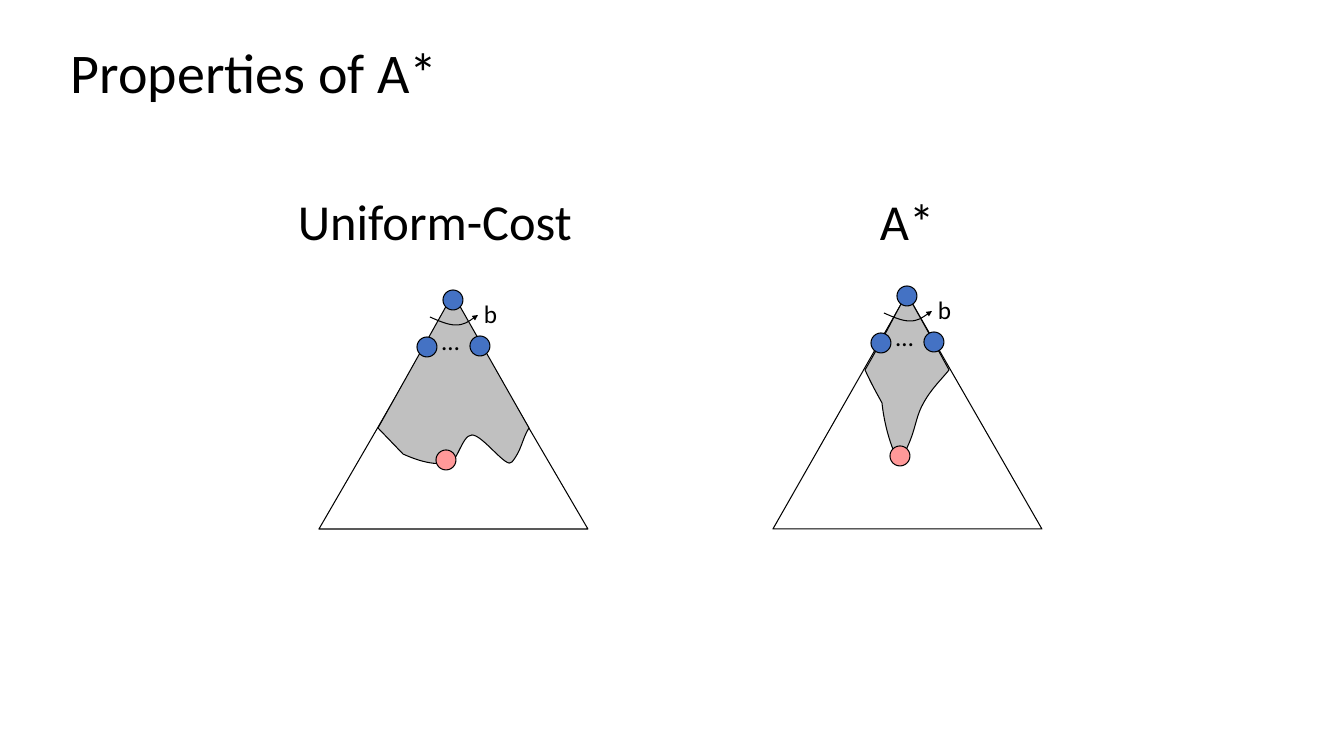
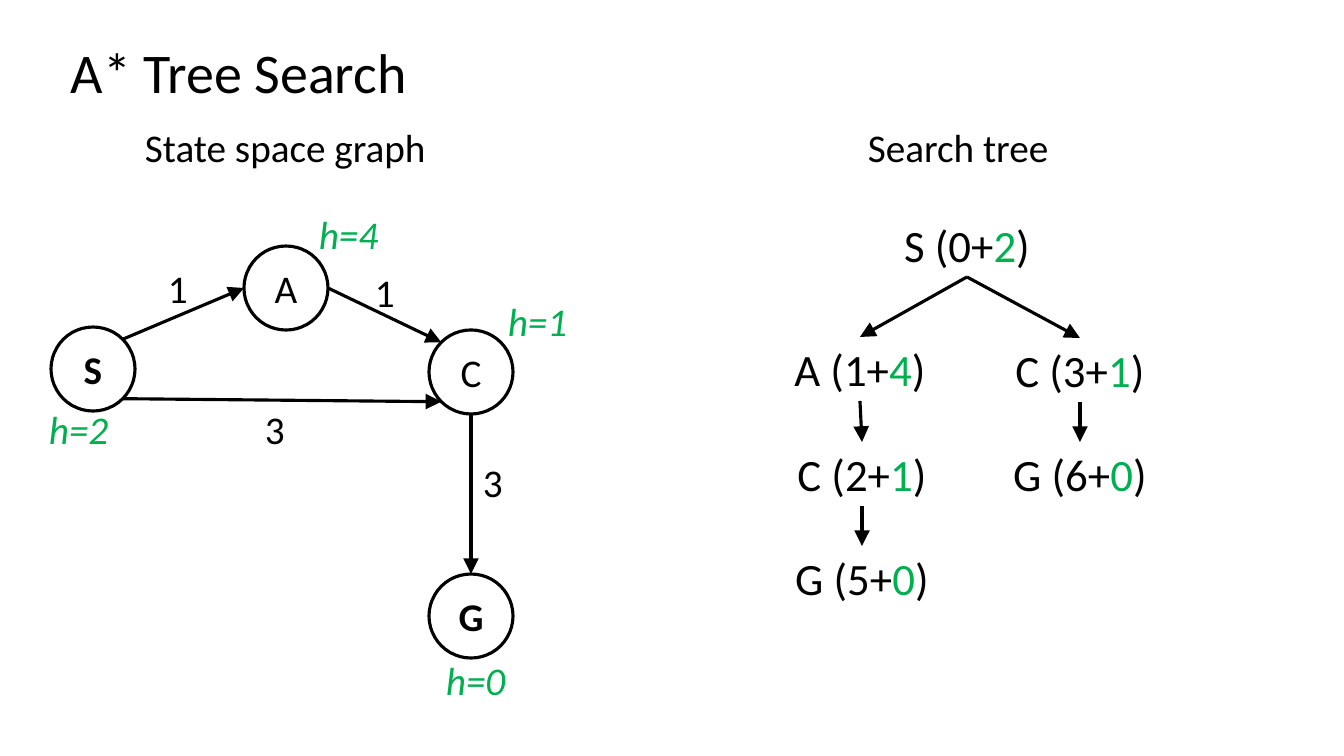
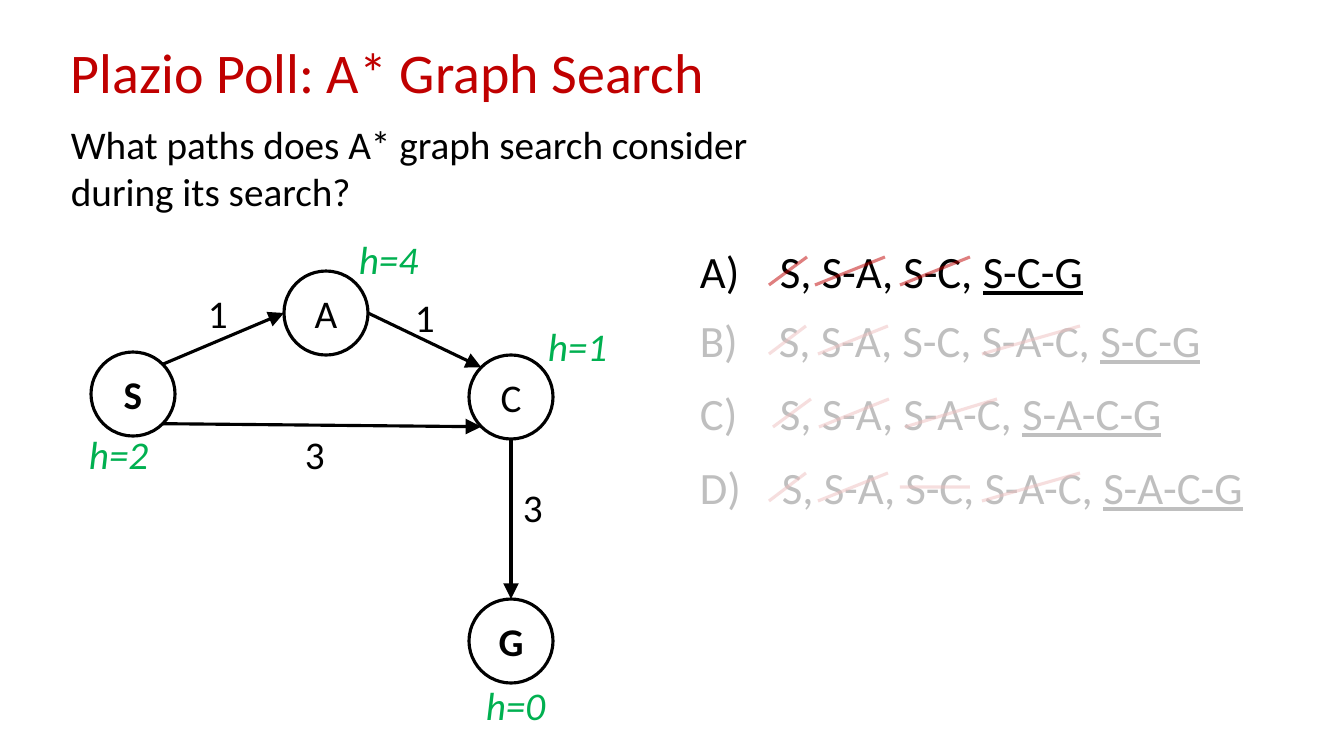
from math import cos, radians, sin

from lxml.etree import SubElement
from pptx import Presentation
from pptx.dml.color import RGBColor
from pptx.enum.shapes import MSO_CONNECTOR, MSO_SHAPE
from pptx.enum.text import MSO_ANCHOR, PP_ALIGN
from pptx.oxml.ns import qn
from pptx.util import Pt

PX = 12192000 / 1344
FONT = "Calibri"
BLACK, WHITE, RED, GREEN = "000000", "FFFFFF", "C00000", "00B050"
BLUE, PINK, GRAY = "4472C4", "FF9999", "C0C0C0"
color = RGBColor.from_string


def add_block(slide, box, runs=(), size=28, align=PP_ALIGN.LEFT, preset=None, fill=WHITE, tab=None):
    box = [round(value * PX) for value in box]
    if preset is None:
        shape = slide.shapes.add_textbox(*box)
    else:
        shape = slide.shapes.add_shape(preset, *box)
        shape.fill.solid()
        shape.fill.fore_color.rgb = color(fill)
        shape.text_frame.vertical_anchor = MSO_ANCHOR.MIDDLE
    shape.text_frame.word_wrap = True
    paragraph = shape.text_frame.paragraphs[0]
    paragraph.alignment = align
    if tab:
        tabs = SubElement(paragraph._p.get_or_add_pPr(), qn("a:tabLst"))
        SubElement(tabs, qn("a:tab"), pos=str(round(tab * PX)), algn="l")
    for text, run_color, style in runs:
        run = paragraph.add_run()
        run.text = text
        run.font.name = FONT
        run.font.size = Pt(size)
        run.font.color.rgb = color(run_color)
        if style == "bold":
            run.font.bold = True
        elif style == "italic":
            run.font.italic = True
        elif style == "underline":
            run.font.underline = True
    return shape


def style_line(shape, line_color=BLACK, width=2.25, arrow=None, opacity=None):
    shape.line.color.rgb = color(line_color)
    shape.line.width = Pt(width)
    properties = shape.element.spPr
    line = properties.find(qn("a:ln"))
    if opacity:
        SubElement(line.find(".//" + qn("a:srgbClr")), qn("a:alpha"), val=str(opacity * 1000))
    if arrow:
        SubElement(line, qn("a:tailEnd"), type="triangle", w=arrow, len=arrow)
    SubElement(properties, qn("a:effectLst"))


presentation = Presentation()
presentation.slide_width = round(1344 * PX)
presentation.slide_height = round(756 * PX)

slides = []
for title, title_color in [
    ("Properties of A*", BLACK),
    ("A* Tree Search", BLACK),
    ("Plazio Poll: A* Graph Search", RED),
]:
    slide = presentation.slides.add_slide(presentation.slide_layouts[6])
    title_box = add_block(slide, (61, 40, 1159, 70), [(title, title_color, "")], size=40)
    title_box.text_frame.vertical_anchor = MSO_ANCHOR.MIDDLE
    title_box.text_frame.paragraphs[0].line_spacing = 0.9
    slides.append(slide)
properties_slide, tree_slide, poll_slide = slides

uniform_region = [
    [(0, -6)],
    [(-75, 128)],
    [(-50, 154)],
    [(-50, 154), (-21, 168), (-7, 162)],
    [(4, 168), (8, 135), (19, 135)],
    [(30, 135), (54, 170), (59, 162)],
    [(69, 150), (69, 139), (76, 128)],
]
astar_region = [
    [(0, -2)],
    [(-15, 23), (-16, 29), (-42, 74)],
    [(-34, 91), (-32, 94), (-25, 107)],
    [(-25, 107), (-22, 141), (-8, 166)],
    [(9, 140), (7, 124), (16, 108)],
    [(24, 93), (34, 84), (42, 74)],
    [(17, 28), (10, 16), (0, -2)],
]
branch_arc = [
    [(-23, 17)],
    [(-14, 21), (-5, 25), (3, 25)],
    [(11, 25), (18, 20), (25, 15)],
]
BASE_Y = 529

for heading, heading_box, root_x, root_y, region in [
    ("Uniform-Cost", (288, 185, 319, 72), 453, 300, uniform_region),
    ("A*", (870, 185, 85, 72), 907, 296, astar_region),
]:
    add_block(properties_slide, heading_box, [(heading, BLACK, "")], size=36)
    base = BASE_Y - root_y
    triangle = [[(-134, base)], [(135, base)], [(0, -2)]]
    for outline, fill, closed in [(triangle, None, True), (region, GRAY, True), (branch_arc, None, False)]:
        segments = [
            [(round((root_x + x) * PX), round((root_y + y) * PX)) for x, y in segment]
            for segment in outline
        ]
        builder = properties_slide.shapes.build_freeform(*segments[0][0])
        builder.add_line_segments([segment[-1] for segment in segments[1:]], close=closed)
        shape = builder.convert_to_shape()
        straight_parts = list(shape.element.spPr.iter(qn("a:lnTo")))
        for part, segment in zip(straight_parts, segments[1:]):
            if len(segment) == 3:
                curve = SubElement(part.getparent(), qn("a:cubicBezTo"))
                for x, y in segment:
                    SubElement(curve, qn("a:pt"), x=str(x - shape.left), y=str(y - shape.top))
                part.getparent().replace(part, curve)
        if fill:
            shape.fill.solid()
            shape.fill.fore_color.rgb = color(fill)
        else:
            shape.fill.background()
        style_line(shape, width=0.75, arrow=None if closed else "sm")
    for x, y, fill in [(-26, 47, BLUE), (27, 46, BLUE), (-7, 160, PINK), (0, 0, BLUE)]:
        box = (root_x + x - 10, root_y + y - 10, 20, 20)
        style_line(add_block(properties_slide, box, preset=MSO_SHAPE.OVAL, fill=fill), width=0.75)
    for label, x, y, width in [("…", -21, 20, 30), ("b", 21, -7, 33)]:
        add_block(properties_slide, (root_x + x, root_y + y, width, 40), [(label, BLACK, "")], size=18)

NODE = 84
graph_nodes = {
    "S": (51, 327, "bold"),
    "A": (244, 246, ""),
    "C": (429, 330, ""),
    "G": (429, 574, "bold"),
}
graph_edges = [
    ("S", -45, "A", 180),
    ("S", 45, "C", 135),
    ("A", 0, "C", 225),
    ("C", 90, "G", 270),
]
graph_labels = [
    ("1", 158, 259, 40, BLACK, ""),
    ("3", 255, 400, 40, BLACK, ""),
    ("1", 365, 263, 40, BLACK, ""),
    ("3", 473, 453, 40, BLACK, ""),
    ("h=2", 39, 400, 90, GREEN, "italic"),
    ("h=4", 309, 205, 90, GREEN, "italic"),
    ("h=1", 498, 292, 90, GREEN, "italic"),
    ("h=0", 436, 651, 90, GREEN, "italic"),
]
for slide, shift_x, shift_y in [(tree_slide, 0, 0), (poll_slide, 40, 25)]:
    for name, (x, y, style) in graph_nodes.items():
        node = add_block(slide, (x + shift_x, y + shift_y, NODE, NODE), [(name, BLACK, style)],
                         align=PP_ALIGN.CENTER, preset=MSO_SHAPE.OVAL)
        style_line(node)
    for start, start_angle, end, end_angle in graph_edges:
        ends = []
        for name, angle in [(start, start_angle), (end, end_angle)]:
            x, y, style = graph_nodes[name]
            ends.append(round((x + shift_x + NODE / 2 * (1 + cos(radians(angle)))) * PX))
            ends.append(round((y + shift_y + NODE / 2 * (1 + sin(radians(angle)))) * PX))
        style_line(slide.shapes.add_connector(MSO_CONNECTOR.STRAIGHT, *ends), arrow="lg")
    for label, x, y, width, label_color, style in graph_labels:
        add_block(slide, (x + shift_x, y + shift_y, width, 57), [(label, label_color, style)])

for heading, x, width in [("State space graph", 135, 310), ("Search tree", 858, 210)]:
    add_block(tree_slide, (x, 118, width, 57), [(heading, BLACK, "")])

tree_boxes = {}
for key, parent, state, cost, estimate, center, top in [
    ("S", None, "S", 0, 2, 967, 213),
    ("SA", "S", "A", 1, 4, 860, 337),
    ("SC", "S", "C", 3, 1, 1080, 338),
    ("SAC", "SA", "C", 2, 1, 862, 442),
    ("SCG", "SC", "G", 6, 0, 1080, 442),
    ("SACG", "SAC", "G", 5, 0, 862, 546),
]:
    runs = [(f"{state} ({cost}+", BLACK, ""), (str(estimate), GREEN, ""), (")", BLACK, "")]
    tree_boxes[key] = add_block(tree_slide, (center - 85, top, 170, 64), runs, size=32, align=PP_ALIGN.CENTER)
    if parent:
        connector = tree_slide.shapes.add_connector(MSO_CONNECTOR.STRAIGHT, 0, 0, 0, 0)
        connector.begin_connect(tree_boxes[parent], 2)
        connector.end_connect(tree_boxes[key], 0)
        style_line(connector, arrow="lg")

question = "What paths does A* graph search consider during its search?"
add_block(poll_slide, (61, 115, 730, 105), [(question, BLACK, "")])

for letter, top, tab, paths, answer, strikes in [
    ("A", 239, 80, "S, S-A, S-C, ", "S-C-G", [(769, 807, 14), (815, 885, 14), (900, 970, 14)]),
    ("B", 308, 79, "S, S-A, S-C, S-A-C, ", "S-C-G", [(769, 806, 14), (818, 888, 14), (982, 1080, 14)]),
    ("C", 381, 80, "S, S-A, S-A-C, ", "S-A-C-G", [(773, 811, 14), (819, 889, 14), (905, 997, 14)]),
    ("D", 455, 82, "S, S-A, S-C, S-A-C, ", "S-A-C-G",
     [(769, 806, 14), (818, 888, 14), (900, 970, 0), (982, 1080, 14)]),
]:
    runs = [(f"{letter})\t{paths}", BLACK, ""), (answer, BLACK, "underline")]
    add_block(poll_slide, (690, top, 590, 64), runs, size=32, tab=tab)
    for left, right, rise in strikes:
        ends = [round(value * PX) for value in (left, top + 32 + rise, right, top + 32 - rise)]
        style_line(poll_slide.shapes.add_connector(MSO_CONNECTOR.STRAIGHT, *ends), RED, opacity=50)

veil = add_block(poll_slide, (657, 297, 629, 257), preset=MSO_SHAPE.RECTANGLE)
veil.shadow.inherit = False
veil.line.fill.background()
SubElement(veil.element.spPr.find(".//" + qn("a:srgbClr")), qn("a:alpha"), val="75000")

presentation.save("out.pptx")
